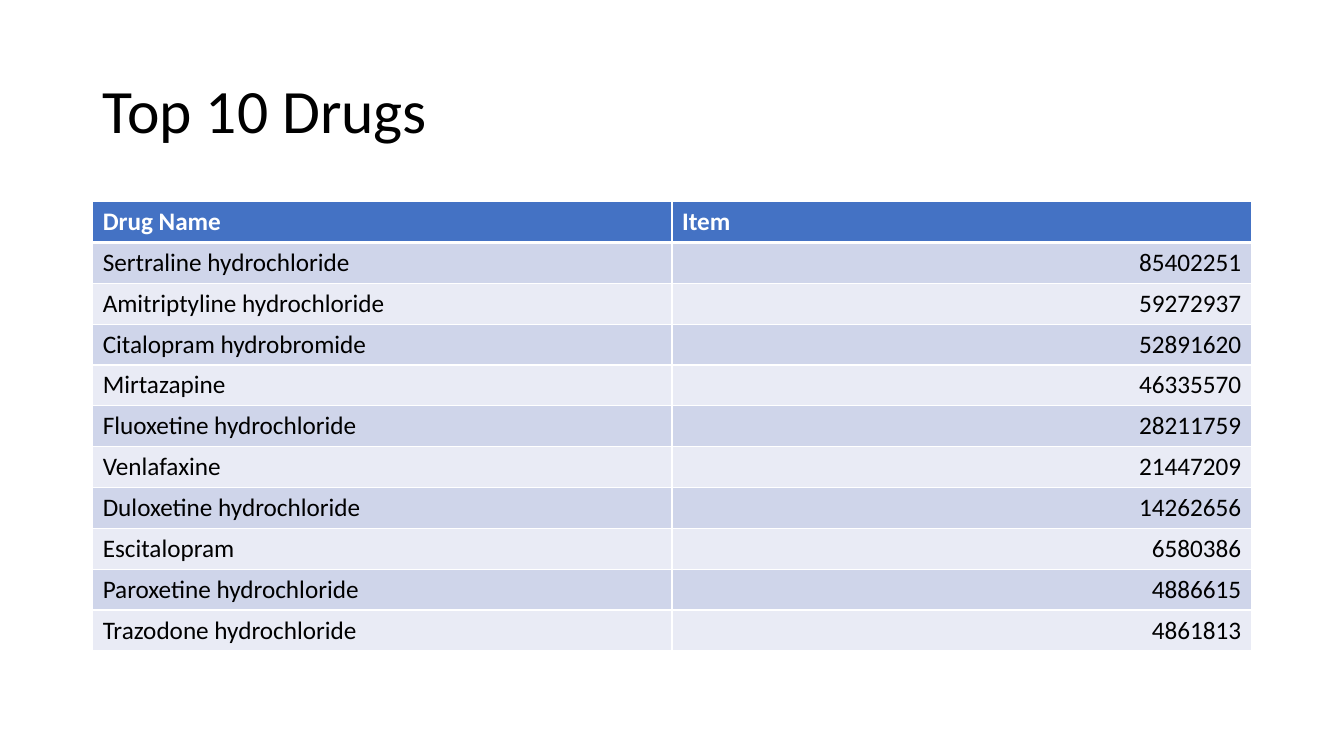
from dataclasses import dataclass
from typing import Any

from lxml import etree
from pptx import Presentation
from pptx import util as u
from pptx.dml import color
from pptx.enum import text
from pptx.oxml import ns

SLIDE_WIDTH, SLIDE_HEIGHT = u.Inches(13.33), u.Inches(7.5)
GRID_COLUMNS, GRID_ROWS = 29, 150
WHITE, BLACK, HEADER_BLUE = "FFFFFF", "000000", "4472C4"
BANDS = ("CFD5EA", "E9EBF5")


@dataclass(frozen=True)
class Area:
    column: float
    row: float
    columns: float
    rows: float

    def box(self) -> tuple[int, int, int, int]:
        return (
            round(SLIDE_WIDTH * self.column / GRID_COLUMNS),
            round(SLIDE_HEIGHT * self.row / GRID_ROWS),
            round(SLIDE_WIDTH * self.columns / GRID_COLUMNS),
            round(SLIDE_HEIGHT * self.rows / GRID_ROWS),
        )


@dataclass(frozen=True)
class Drug:
    name: str
    items: int


HEADING_AREA = Area(2, 8, 25, 29)
RANKING_AREA = Area(2, 40, 25, 89.2)
HEADERS = ("Drug Name", "Item")
DRUGS = (
    Drug("Sertraline hydrochloride", 85402251),
    Drug("Amitriptyline hydrochloride", 59272937),
    Drug("Citalopram hydrobromide", 52891620),
    Drug("Mirtazapine", 46335570),
    Drug("Fluoxetine hydrochloride", 28211759),
    Drug("Venlafaxine", 21447209),
    Drug("Duloxetine hydrochloride", 14262656),
    Drug("Escitalopram", 6580386),
    Drug("Paroxetine hydrochloride", 4886615),
    Drug("Trazodone hydrochloride", 4861813),
)


def rgb(value: str) -> color.RGBColor:
    return color.RGBColor.from_string(value)


def apply(target: Any, formats: dict[str, Any]) -> None:
    for attribute, value in formats.items():
        setattr(target, attribute, value)


def write(paragraph: Any, words: str, size: float, ink: str, bold: bool = False) -> None:
    run = paragraph.add_run()
    run.text = words
    apply(run.font, {"name": "Calibri", "size": u.Pt(size), "bold": bold})
    run.font.color.rgb = rgb(ink)


def draw_borders(cell: Any, bottom: float) -> None:
    properties = cell._tc.get_or_add_tcPr()
    widths = {"a:lnL": 1, "a:lnR": 1, "a:lnT": 1, "a:lnB": bottom}
    for position, (side, width) in enumerate(widths.items()):
        border = etree.Element(ns.qn(side), w=str(u.Pt(width)))
        fill = etree.SubElement(border, ns.qn("a:solidFill"))
        etree.SubElement(fill, ns.qn("a:srgbClr"), val=WHITE)
        properties.insert(position, border)


def fill_cell(cell: Any, words: str, background: str, header: bool, align: Any) -> None:
    cell.fill.solid()
    cell.fill.fore_color.rgb = rgb(background)
    cell.vertical_anchor = text.MSO_ANCHOR.MIDDLE
    paragraph = cell.text_frame.paragraphs[0]
    paragraph.alignment = align
    write(paragraph, words, 18, WHITE if header else BLACK, header)
    draw_borders(cell, 3 if header else 1)


def add_heading(slide: Any) -> None:
    frame = slide.shapes.add_textbox(*HEADING_AREA.box()).text_frame
    apply(frame, {"word_wrap": True, "vertical_anchor": text.MSO_ANCHOR.MIDDLE})
    paragraph = frame.paragraphs[0]
    paragraph.line_spacing = 0.9
    write(paragraph, "Top 10 Drugs", 44, BLACK)


def add_ranking(slide: Any) -> None:
    entries = [HEADERS] + [(drug.name, str(drug.items)) for drug in DRUGS]
    ranking = slide.shapes.add_table(len(entries), len(HEADERS), *RANKING_AREA.box()).table
    for row, entry in enumerate(entries):
        header = row == 0
        background = HEADER_BLUE if header else BANDS[(row - 1) % 2]
        for column, words in enumerate(entry):
            numeric = column == 1 and not header
            align = text.PP_ALIGN.RIGHT if numeric else text.PP_ALIGN.LEFT
            fill_cell(ranking.cell(row, column), words, background, header, align)


def main() -> None:
    deck = Presentation()
    apply(deck, {"slide_width": SLIDE_WIDTH, "slide_height": SLIDE_HEIGHT})
    slide = deck.slides.add_slide(deck.slide_layouts[6])
    add_heading(slide)
    add_ranking(slide)
    deck.save("out.pptx")


if __name__ == "__main__":
    main()
